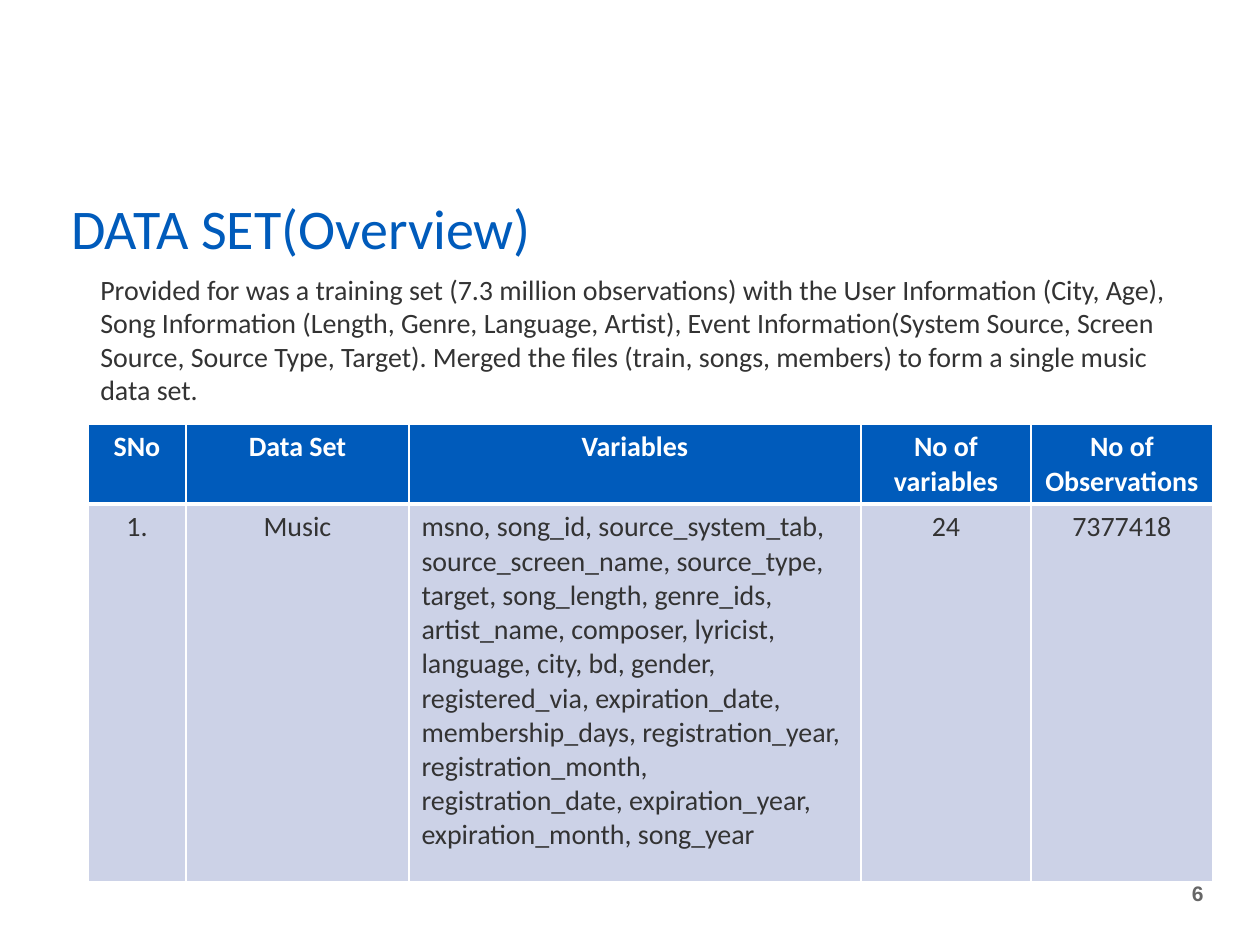
from lxml.etree import SubElement as Sub
from pptx import Presentation as Deck
from pptx.dml.color import RGBColor as Rgb
from pptx.enum.text import MSO_ANCHOR as Anchor, PP_ALIGN as Align
from pptx.oxml.ns import qn
from pptx.util import Emu, Pt

SCALE = 914400 / 126
BLUE, PALE, DARK, GREY, WHITE = "005BBB", "CCD2E7", "333333", "666666", "FFFFFF"
TITLE = {"size": Pt(32), "name": "Calibri", "bold": False}
BODY = {"size": Pt(16), "name": "Calibri", "bold": False}
HEAD = {**BODY, "bold": True}
PAGE = {"size": Pt(12), "name": "Arial", "bold": True}

INTRO = (
    "Provided for was a training set (7.3 million observations) with the User "
    "Information (City, Age), Song Information (Length, Genre, Language, Artist), "
    "Event Information(System Source, Screen Source, Source Type, Target). Merged "
    "the files (train, songs, members) to form a single music data set."
)
FIELDS = (
    "msno, song_id, source_system_tab, source_screen_name, source_type, target, "
    "song_length, genre_ids, artist_name, composer, lyricist, language, city, bd, "
    "gender, registered_via, expiration_date, membership_days, registration_year, "
    "registration_month, registration_date, expiration_year, expiration_month, "
    "song_year"
)
ROWS = [
    ["SNo", "Data Set", "Variables", "No of variables", "No of Observations"],
    ["1.", "Music", FIELDS, "24", "7377418"],
]
WIDTHS = [98, 223, 452, 170, 182]
HEIGHTS = [80, 378]


def px(n):
    return Emu(round(n * SCALE))


def color(code):
    return Rgb.from_string(code)


def write(frame, text, style, ink, align=Align.LEFT):
    frame.word_wrap = True
    para = frame.paragraphs[0]
    para.alignment = align
    run = para.add_run()
    run.text = text
    for key, value in style.items():
        setattr(run.font, key, value)
    run.font.color.rgb = color(ink)
    return para


def add_text(slide, box, text, style, ink, align=Align.LEFT, anchor=Anchor.TOP):
    frame = slide.shapes.add_textbox(*map(px, box)).text_frame
    frame.vertical_anchor = anchor
    return write(frame, text, style, ink, align)


def add_edge(cell, side, width):
    line = Sub(cell._tc.get_or_add_tcPr(), qn(f"a:ln{side}"), w=str(Pt(width)))
    fill = Sub(line, qn("a:solidFill"))
    Sub(fill, qn("a:srgbClr"), val=WHITE)


def fill_cell(cell, text, head, align):
    for side in "LRTB":
        thick = side == ("B" if head else "T")
        add_edge(cell, side, 3 if thick else 1)
    cell.fill.solid()
    cell.fill.fore_color.rgb = color(BLUE if head else PALE)
    style, ink = (HEAD, WHITE) if head else (BODY, DARK)
    write(cell.text_frame, text, style, ink, align)


def add_grid(slide, left, top):
    box = left, top, sum(WIDTHS), sum(HEIGHTS)
    table = slide.shapes.add_table(len(ROWS), len(WIDTHS), *map(px, box)).table
    for col, width in zip(table.columns, WIDTHS):
        col.width = px(width)
    for row, height, texts in zip(table.rows, HEIGHTS, ROWS):
        row.height = px(height)
        for cell, text in zip(row.cells, texts):
            align = Align.LEFT if text == FIELDS else Align.CENTER
            fill_cell(cell, text, texts is ROWS[0], align)


def main():
    deck = Deck()
    deck.slide_width, deck.slide_height = px(1260), px(945)
    slide = deck.slides.add_slide(deck.slide_layouts[6])
    add_text(slide, (1142, 857, 74, 73), "6", PAGE, GREY, Align.RIGHT, Anchor.MIDDLE)
    title = add_text(
        slide, (59, 168, 493, 98), "DATA SET(Overview)", TITLE, BLUE, anchor=Anchor.BOTTOM
    )
    title.line_spacing = 0.8
    add_grid(slide, 88, 424)
    add_text(slide, (88, 266, 1096, 149), INTRO, BODY, DARK)
    deck.save("out.pptx")


if __name__ == "__main__":
    main()
